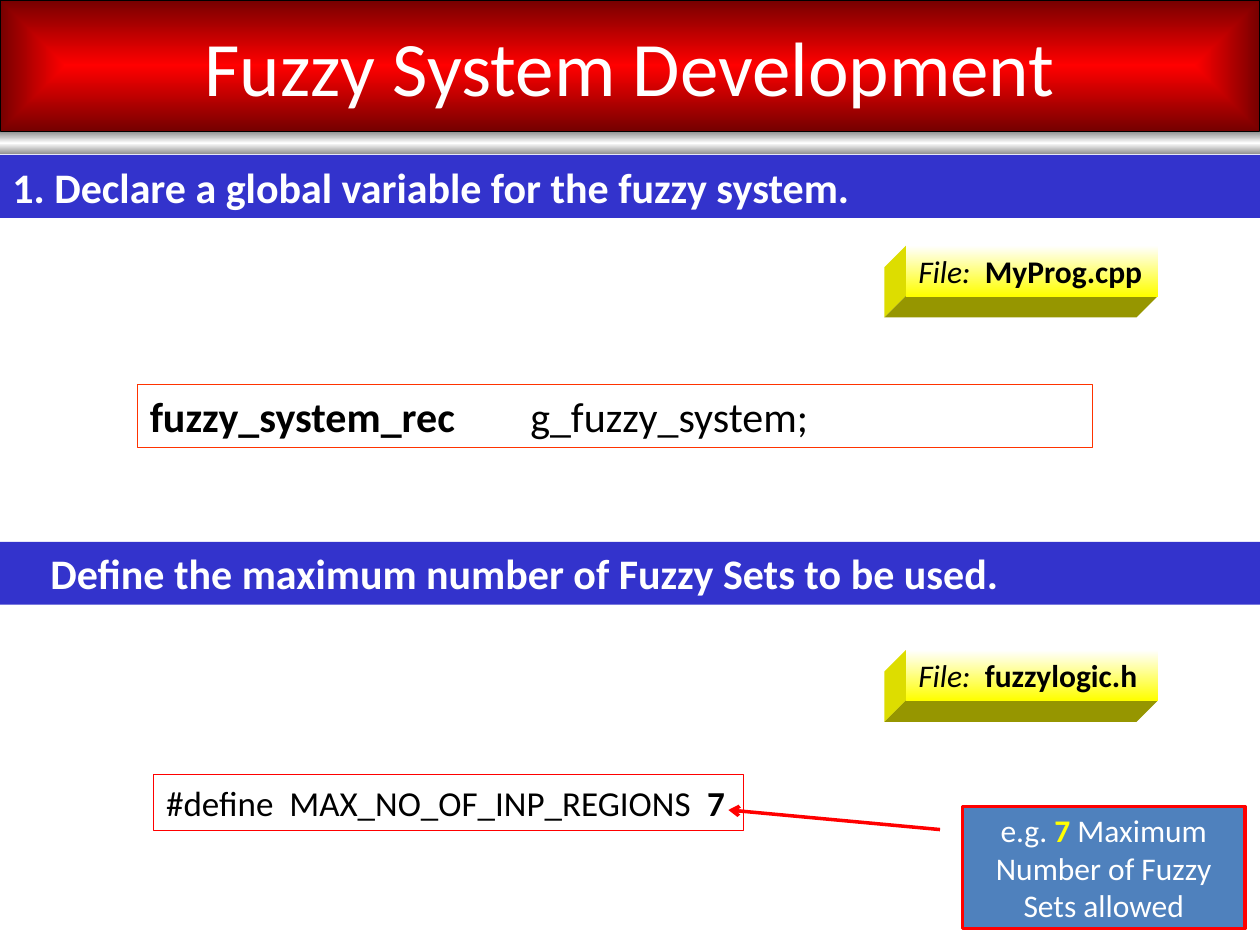
from lxml.etree import SubElement
from pptx import Presentation
from pptx.dml.color import RGBColor
from pptx.enum.shapes import MSO_SHAPE
from pptx.enum.text import MSO_ANCHOR, PP_ALIGN
from pptx.oxml.ns import qn
from pptx.util import Inches, Pt


def colour(value):
    """Turn a hex string into a colour."""
    return RGBColor.from_string(value)


class SlideBuilder:
    """Hold the style and the current slide, and draw each kind of element."""

    font = "Calibri"
    black, white, red = "000000", "FFFFFF", "FF0000"
    banner, callout_fill = "3333CC", "4F81BD"
    depth = 0.17

    def __init__(self, page):
        """Keep the slide to draw on."""
        self.page = page

    def box(self, place, fill=None, line=None, width=0.75, kind=MSO_SHAPE.RECTANGLE):
        """Add a preset shape with a plain fill and outline."""
        shape = self.page.shapes.add_shape(kind, *map(Inches, place))
        self.paint(shape, fill, line, width)
        return shape

    def paint(self, shape, fill, line=None, width=0.75):
        """Set the fill and outline of a shape and drop its shadow."""
        shape.shadow.inherit = False
        if fill:
            shape.fill.solid()
            shape.fill.fore_color.rgb = colour(fill)
        else:
            shape.fill.background()
        if line:
            shape.line.color.rgb = colour(line)
            shape.line.width = Pt(width)
        else:
            shape.line.fill.background()

    def gradient(self, shape, colours, centred=False):
        """Fill a shape with evenly spaced colours, downwards or from the centre."""
        shape.fill.gradient()
        grad = shape.element.spPr.find(qn("a:gradFill"))
        for child in list(grad):
            grad.remove(child)
        stops = SubElement(grad, qn("a:gsLst"))
        for index, value in enumerate(colours):
            position = index * 100000 // (len(colours) - 1)
            stop = SubElement(stops, qn("a:gs"), pos=str(position))
            SubElement(stop, qn("a:srgbClr"), val=value)
        if centred:
            outline = SubElement(grad, qn("a:path"), {"path": "shape"})
            SubElement(outline, qn("a:fillToRect"), dict.fromkeys("ltrb", "50000"))
        else:
            SubElement(grad, qn("a:lin"), ang="5400000", scaled="1")

    def add_text(self, shape, spans, size, ink=black, align=PP_ALIGN.LEFT,
                 anchor=MSO_ANCHOR.TOP, wrap=True, tab=None, indent=0):
        """Put one paragraph of (text, font settings) spans into a shape."""
        frame = shape.text_frame
        frame.word_wrap = wrap
        frame.vertical_anchor = anchor
        frame.margin_left = Inches(0.1 + indent)
        para = frame.paragraphs[0]
        para.alignment = align
        if tab:
            tabs = SubElement(para._p.get_or_add_pPr(), qn("a:tabLst"))
            SubElement(tabs, qn("a:tab"), pos=str(Inches(tab)), algn="l")
        para.font.name = self.font
        para.font.size = Pt(size)
        para.font.color.rgb = colour(ink)
        for text, settings in spans:
            span = para.add_run()
            span.text = text
            span.font.bold = settings.get("bold")
            span.font.italic = settings.get("italic")
            if "ink" in settings:
                span.font.color.rgb = colour(settings["ink"])

    def title(self, text):
        """Add the red title bar and the silver strip below it."""
        bar = self.box((0, 0, 10, 1.04), line=self.black, width=0.5)
        self.gradient(bar, (self.red, "760000"), centred=True)
        self.add_text(bar, [(text, {})], 44, self.white, PP_ALIGN.CENTER, MSO_ANCHOR.MIDDLE)
        strip = self.box((0, 1.05, 10, 0.17))
        self.gradient(strip, ("969696", self.white, "969696"))

    def heading(self, top, text, indent=0):
        """Add a full-width blue heading."""
        bar = self.box((0, top, 10, 0.5), self.banner)
        self.add_text(bar, [(text, {"bold": True})], 24, self.white, indent=indent)

    def face(self, points, fill):
        """Add one side face of a raised label."""
        start, *rest = [(Inches(x), Inches(y)) for x, y in points]
        builder = self.page.shapes.build_freeform(*start)
        builder.add_line_segments(rest)
        self.paint(builder.convert_to_shape(), fill)

    def file_label(self, top, name):
        """Add a raised yellow label with a file name."""
        left, width, height = 7.19, 2, 0.4
        right, bottom, depth = left + width, top + height, self.depth
        corner = (left - depth, bottom + depth)
        self.face([(left, top), (left - depth, top + depth), corner, (left, bottom)], "DDDD00")
        self.face([(left, bottom), (right, bottom), (right - depth, bottom + depth), corner],
                  "969600")
        label = self.box((left, top, width, height))
        self.gradient(label, (self.white, "FFFF00"))
        self.add_text(label, [("File:  ", {"italic": True}), (name, {"bold": True})], 18)

    def code(self, place, spans, size, line, **layout):
        """Add an outlined line of code."""
        self.add_text(self.box(place, line=line), spans, size, **layout)

    def callout(self, place, pointer, spans):
        """Add a callout whose pointer ends in an arrowhead."""
        shape = self.box(place, self.callout_fill, self.red, 2, MSO_SHAPE.LINE_CALLOUT_1)
        for index, value in enumerate(pointer):
            shape.adjustments[index] = value
        outline = shape.element.spPr.find(qn("a:ln"))
        SubElement(outline, qn("a:tailEnd"), type="arrow")
        self.add_text(shape, spans, 18, self.white, PP_ALIGN.CENTER, MSO_ANCHOR.MIDDLE)


def main():
    """Build the slide and save it."""
    deck = Presentation()
    deck.slide_width, deck.slide_height = Inches(10), Inches(7.5)
    slide = SlideBuilder(deck.slides.add_slide(deck.slide_layouts[6]))
    bold = {"bold": True}

    slide.title("Fuzzy System Development")
    slide.heading(1.23, "1. Declare a global variable for the fuzzy system.")
    slide.file_label(1.95, "MyProg.cpp")
    slide.code((1.09, 3.05, 7.58, 0.5),
               [("fuzzy_system_rec\t", bold), ("g_fuzzy_system;", {})],
               24, "FF3300", tab=3.02)

    slide.heading(4.3, "Define the maximum number of Fuzzy Sets to be used.", indent=0.3)
    slide.file_label(5.16, "fuzzylogic.h")
    slide.code((1.22, 6.15, 4.68, 0.44),
               [("#define  MAX_NO_OF_INP_REGIONS  ", {}), ("7", bold)],
               20, slide.red, wrap=False)
    slide.callout((7.64, 6.4, 2.24, 0.97), (0.19, -0.08, 0.03, -0.83),
                  [("e.g. ", {}), ("7", {"bold": True, "ink": "FFFF00"}),
                   (" Maximum Number of Fuzzy Sets allowed", {})])
    deck.save("out.pptx")


if __name__ == "__main__":
    main()
